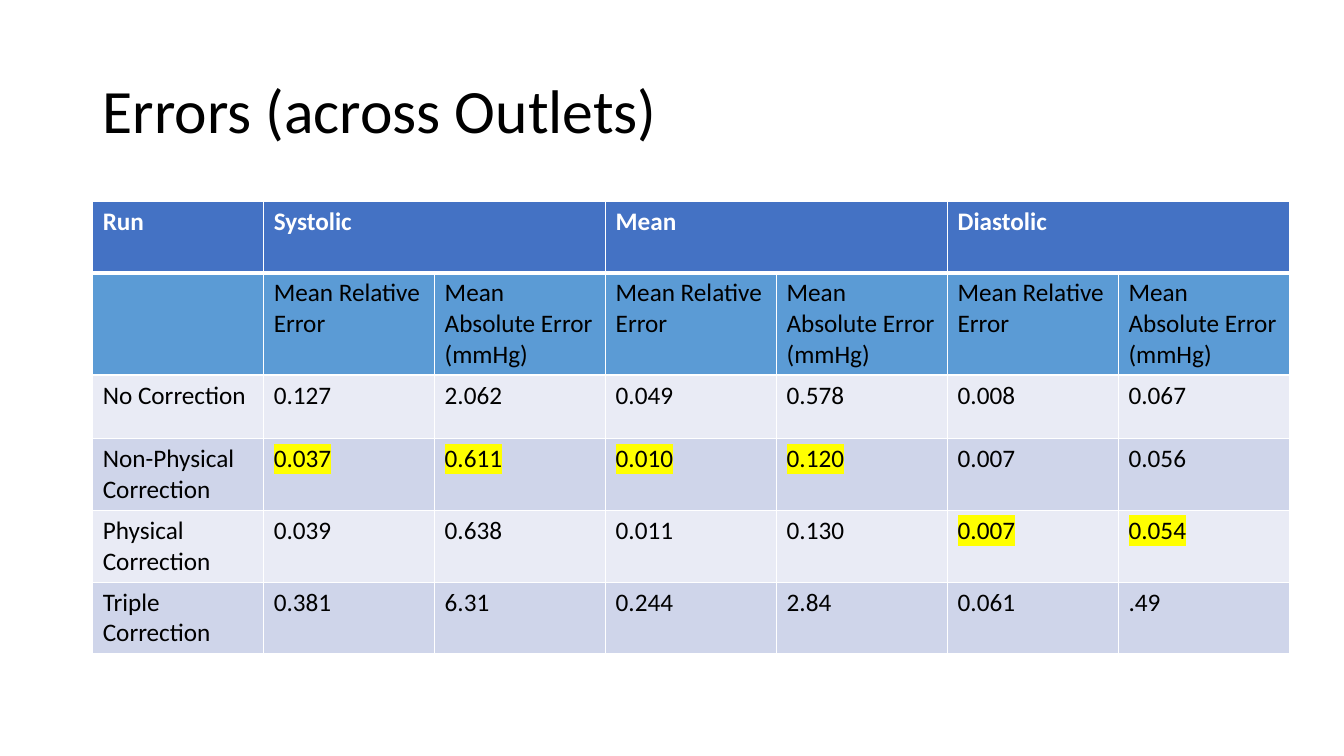
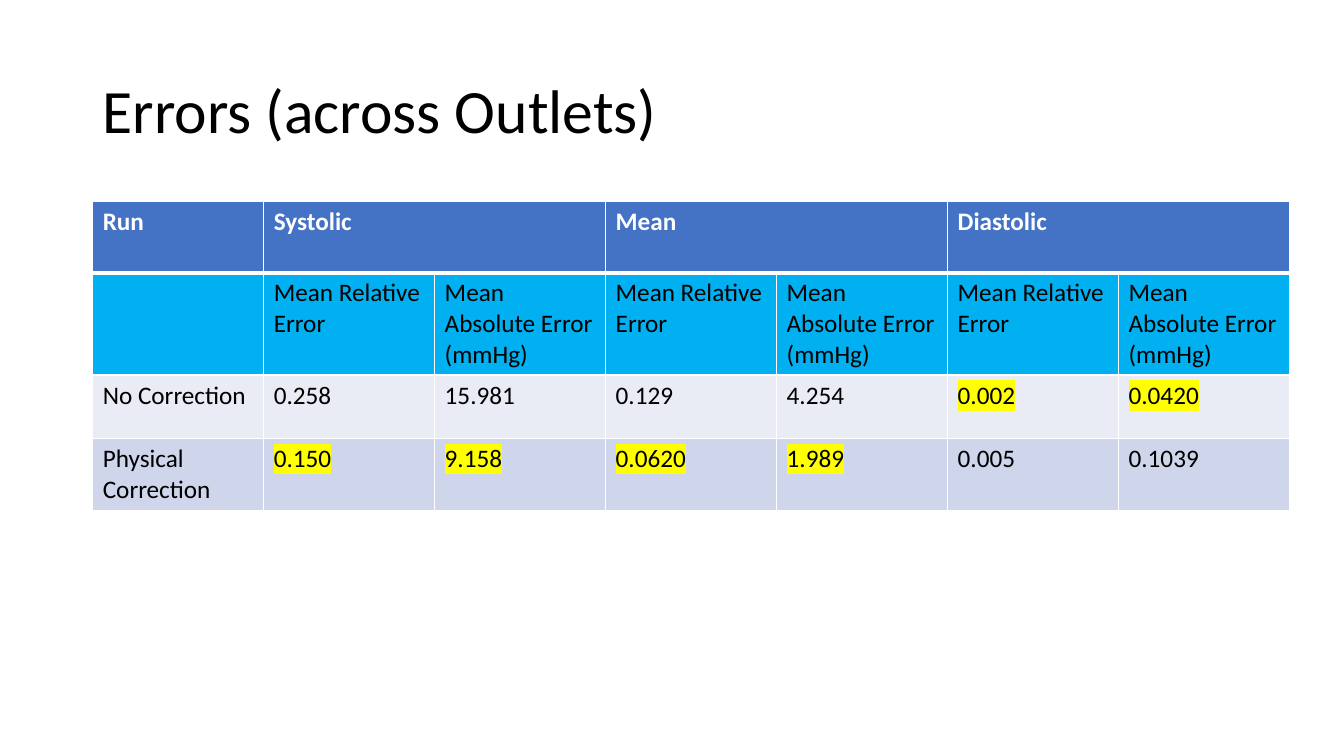
from pptx import Presentation
from pptx.dml.color import RGBColor
from pptx.enum.text import MSO_ANCHOR as Anchor, MSO_AUTO_SIZE as AutoSize, PP_ALIGN as Align
from pptx.oxml import parse_xml
from pptx.oxml.ns import nsdecls, qn
from pptx.util import Inches, Pt

TITLE = "Errors (across Outlets)"
GROUPS = ("Systolic", "Mean", "Diastolic")
MEASURES = ("Mean Relative Error", "Mean Absolute Error (mmHg)")
COLUMNS = 1 + len(GROUPS) * len(MEASURES)


def color(value):
    return RGBColor.from_string(value)


class ErrorDeck:
    FONT = "Calibri"
    BLACK, WHITE, MARK = "000000", "FFFFFF", "FFFF00"
    HEADER = "4472C4"
    BANDS = ("E9EBF5", "CFD5EA")
    # Percentages of the slide's width and height
    LEFT, TABLE_TOP, TABLE_WIDTH = 6.9, 26.67, 89.05
    HEADER_ROW, MEASURE_ROW, ONE_LINE, TWO_LINES = 9.4, 13.5, 8.4, 9.5

    def __init__(self):
        self.deck = Presentation()
        self.deck.slide_width = Inches(13.33)
        self.deck.slide_height = Inches(7.5)
        self.page = None

    def across(self, percent):
        return round(self.deck.slide_width * percent / 100)

    def down(self, percent):
        return round(self.deck.slide_height * percent / 100)

    def style(self, para, size, ink, bold=False):
        para.font.size = Pt(size)
        for span in para.runs:
            span.font.name = self.FONT
            span.font.size = Pt(size)
            span.font.bold = bold
            span.font.color.rgb = color(ink)

    def add_page(self, title):
        self.page = self.deck.slides.add_slide(self.deck.slide_layouts[5])
        box = self.page.shapes.title
        box.left, box.top = self.across(self.LEFT), self.down(5.33)
        box.width, box.height = self.across(86.25), self.down(19.33)
        frame = box.text_frame
        frame.text = title
        frame.word_wrap = True
        frame.auto_size = AutoSize.NONE
        frame.vertical_anchor = Anchor.MIDDLE
        para = frame.paragraphs[0]
        para.alignment = Align.LEFT
        para.line_spacing = 0.9
        self.style(para, 44, self.BLACK)

    def borders(self, cell, top, bottom):
        sides = (("L", 1), ("R", 1), ("T", top), ("B", bottom))
        for index, (side, points) in enumerate(sides):
            line = parse_xml(
                f'<a:ln{side} {nsdecls("a")} w="{Pt(points)}"><a:solidFill>'
                f'<a:srgbClr val="{self.WHITE}"/></a:solidFill></a:ln{side}>')
            cell._tc.get_or_add_tcPr().insert(index, line)

    def highlight(self, para):
        for span in para.runs:
            mark = parse_xml(f'<a:highlight {nsdecls("a")}>'
                             f'<a:srgbClr val="{self.MARK}"/></a:highlight>')
            span._r.get_or_add_rPr().find(qn("a:solidFill")).addnext(mark)

    def fill_row(self, table, row, texts, fill, height, marked=()):
        header = row == 0
        table.rows[row].height = self.down(height)
        for column, text in enumerate(texts):
            cell = table.cell(row, column)
            cell.text = text
            cell.fill.solid()
            cell.fill.fore_color.rgb = color(fill)
            self.borders(cell, top=3 if row == 1 else 1, bottom=3 if header else 1)
            para = cell.text_frame.paragraphs[0]
            self.style(para, 18, self.WHITE if header else self.BLACK, header)
            if column in marked:
                self.highlight(para)

    def add_errors(self, measure_fill, runs):
        table = self.page.shapes.add_table(
            len(runs) + 2, COLUMNS, self.across(self.LEFT), self.down(self.TABLE_TOP),
            self.across(self.TABLE_WIDTH), self.down(40)).table
        for column in table.columns:
            column.width = self.across(self.TABLE_WIDTH / COLUMNS)

        # Two heading rows: a group spans its measures
        groups = [text for group in GROUPS for text in (group, "")]
        self.fill_row(table, 0, ["Run", *groups], self.HEADER, self.HEADER_ROW)
        for first in range(1, COLUMNS, len(MEASURES)):
            table.cell(0, first).merge(table.cell(0, first + len(MEASURES) - 1))
        measures = MEASURES * len(GROUPS)
        self.fill_row(table, 1, ["", *measures], measure_fill, self.MEASURE_ROW)

        # One banded row per run
        for index, (name, values, marked) in enumerate(runs):
            height = self.ONE_LINE if index == 0 else self.TWO_LINES
            band = self.BANDS[index % 2]
            self.fill_row(table, index + 2, [name, *values.split()], band, height, marked)


# Measure row colour, then runs: name, values, highlighted columns
PAGES = (
    ("5B9BD5", (
        ("No Correction", "0.127 2.062 0.049 0.578 0.008 0.067", ()),
        ("Non-Physical Correction", "0.037 0.611 0.010 0.120 0.007 0.056", range(1, 5)),
        ("Physical Correction", "0.039 0.638 0.011 0.130 0.007 0.054", range(5, 7)),
        ("Triple Correction", "0.381 6.31 0.244 2.84 0.061 .49", ()),
    )),
    ("00B0F0", (
        ("No Correction", "0.258 15.981 0.129 4.254 0.002 0.0420", range(5, 7)),
        ("Physical Correction", "0.150 9.158 0.0620 1.989 0.005 0.1039", range(1, 5)),
    )),
)


def main():
    errors = ErrorDeck()
    for measure_fill, runs in PAGES:
        errors.add_page(TITLE)
        errors.add_errors(measure_fill, runs)
    errors.deck.save("out.pptx")


if __name__ == "__main__":
    main()
